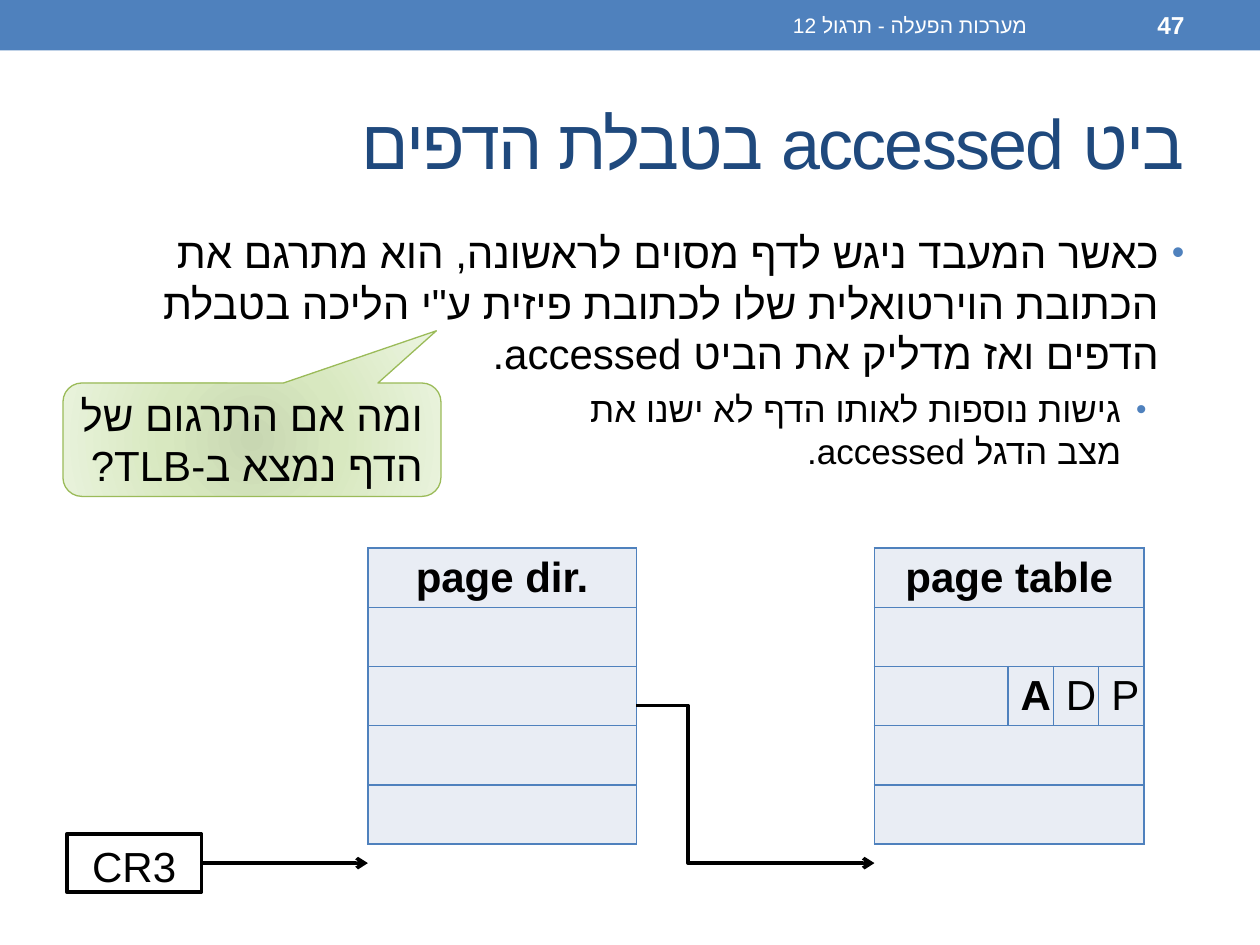
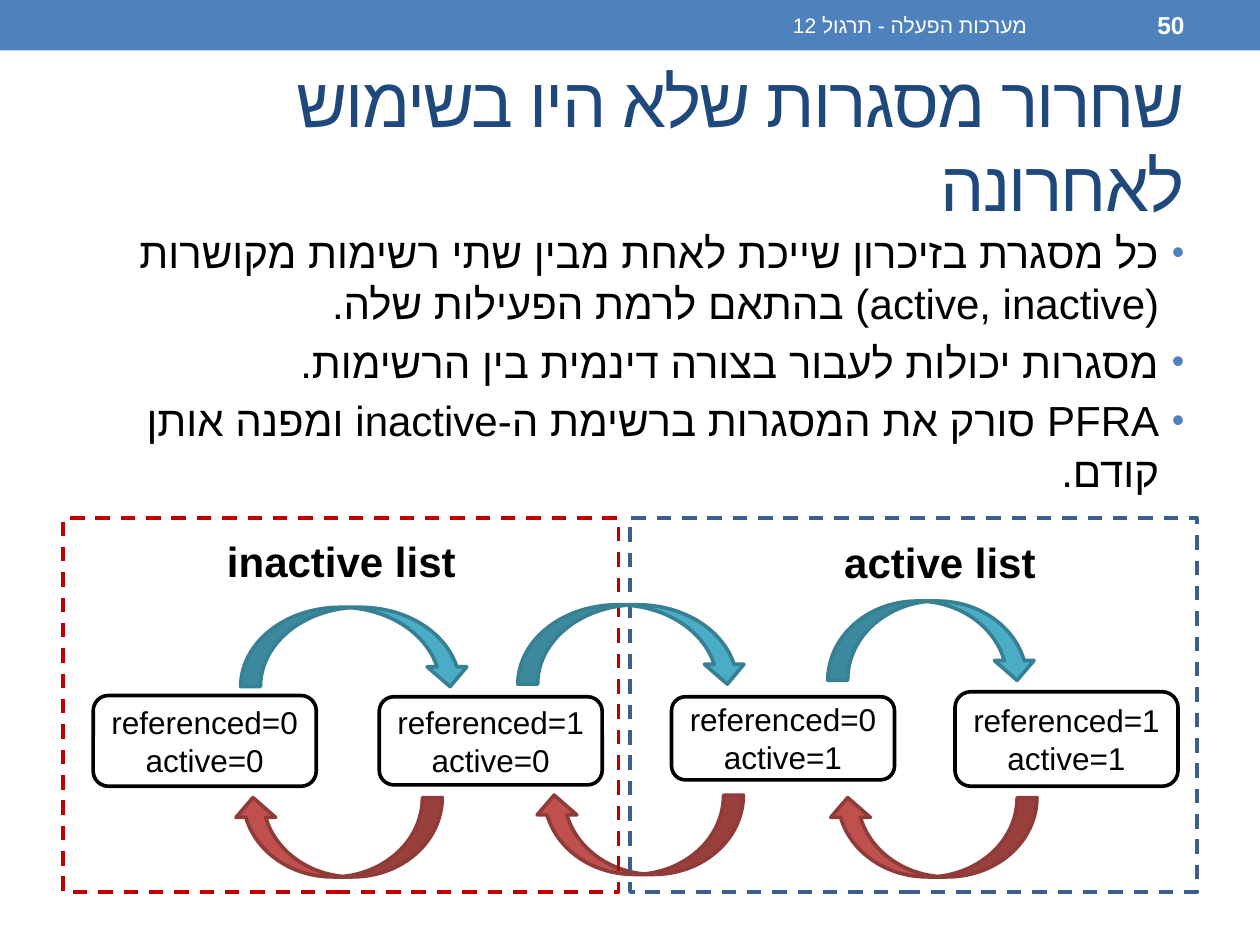
"""Build two slides on the accessed bit and on freeing page frames."""
from dataclasses import dataclass

from lxml.etree import SubElement
from pptx import Presentation
from pptx.dml.color import RGBColor
from pptx.enum.dml import MSO_LINE
from pptx.enum.shapes import MSO_CONNECTOR, MSO_SHAPE
from pptx.enum.text import MSO_ANCHOR, MSO_AUTO_SIZE, PP_ALIGN
from pptx.oxml import parse_xml
from pptx.oxml.ns import nsdecls, qn
from pptx.util import Inches, Pt


@dataclass(frozen=True)
class Theme:
    font: str = "Arial"
    band: str = "4F81BD"
    title: str = "1F497D"
    text: str = "000000"
    paper: str = "FFFFFF"
    cell: str = "E9EDF4"
    callout_line: str = "9BBB59"
    callout_stops: tuple = ((0, "C8D7B2"), (45, "D8E8C0"), (100, "E9F3DC"))
    promote: tuple = ("4BACC6", "377F92")
    demote: tuple = ("C0504D", "8E3B39")
    active: str = "3A5F8C"
    inactive: str = "C00000"
    title_size: int = 40
    body_sizes: tuple = (24, 20)
    label_size: int = 24
    node_size: int = 18
    number_size: int = 14
    footer_size: int = 12
    stroke: float = 2.08


theme = Theme()


def write(frame, text, size, color=theme.text, bold=False, align=PP_ALIGN.CENTER,
          rtl=False, **frame_format):
    frame.text = text
    for name, value in frame_format.items():
        setattr(frame, name, value)
    font_format = {"size": Pt(size), "bold": bold, "name": theme.font}
    for paragraph in frame.paragraphs:
        paragraph.alignment = align
        if rtl:
            paragraph._p.get_or_add_pPr().set("rtl", "1")
        for run in paragraph.runs:
            for name, value in font_format.items():
                setattr(run.font, name, value)
            run.font.color.rgb = RGBColor.from_string(color)
            SubElement(run._r.get_or_add_rPr(), qn("a:cs"), typeface=theme.font)


def draw(slide, kind, box, fill=None, line=None, width=theme.stroke):
    shape = slide.shapes.add_shape(kind, *map(Inches, box))
    shape.shadow.inherit = False
    if fill:
        shape.fill.solid()
        shape.fill.fore_color.rgb = RGBColor.from_string(fill)
    else:
        shape.fill.background()
    if line:
        shape.line.color.rgb = RGBColor.from_string(line)
        shape.line.width = Pt(width)
    else:
        shape.line.fill.background()
    return shape


deck = Presentation()
deck.slide_width, deck.slide_height = Inches(10), Inches(7.5)

contents = [
    ("47", "ביט accessed בטבלת הדפים", [
        (0, "כאשר המעבד ניגש לדף מסוים לראשונה, הוא מתרגם את הכתובת הוירטואלית שלו "
            "לכתובת פיזית ע\"י הליכה בטבלת הדפים ואז מדליק את הביט accessed."),
        (1, "גישות נוספות לאותו הדף לא ישנו את\vמצב הדגל accessed."),
    ]),
    ("50", "שחרור מסגרות שלא היו בשימוש לאחרונה", [
        (0, "כל מסגרת בזיכרון שייכת לאחת מבין שתי רשימות מקושרות (active, inactive) "
            "בהתאם לרמת הפעילות שלה."),
        (0, "מסגרות יכולות לעבור בצורה דינמית בין הרשימות."),
        (0, "PFRA סורק את המסגרות ברשימת ה-inactive ומפנה אותן קודם."),
    ]),
]
hebrew = {"align": PP_ALIGN.RIGHT, "rtl": True, "word_wrap": True}
centred = {"vertical_anchor": MSO_ANCHOR.MIDDLE}

for number, heading, points in contents:
    slide = deck.slides.add_slide(deck.slide_layouts[1])
    title, body = slide.placeholders
    for holder, box in ((title, (0.5, 0.58, 9, 1.08)), (body, (0.5, 1.75, 9, 5.33))):
        holder.left, holder.top, holder.width, holder.height = map(Inches, box)
    write(title.text_frame, heading, theme.title_size, theme.title,
          auto_size=MSO_AUTO_SIZE.NONE, **centred, **hebrew)
    for run in title.text_frame.paragraphs[0].runs:
        run._r.get_or_add_rPr().set("spc", "-100")

    write(body.text_frame, "\n".join(text for _, text in points), theme.body_sizes[0],
          auto_size=MSO_AUTO_SIZE.NONE, vertical_anchor=MSO_ANCHOR.TOP, **hebrew)
    for paragraph, (level, _) in zip(body.text_frame.paragraphs, points):
        paragraph.level = level
        for run in paragraph.runs:
            run.font.size = Pt(theme.body_sizes[level])
        properties = paragraph._p.get_or_add_pPr()
        properties.set("marL", str(Inches(0.2 + 0.3 * level)))
        properties.set("indent", str(Inches(-0.2)))
        SubElement(SubElement(properties, qn("a:buClr")), qn("a:srgbClr"), val=theme.band)
        SubElement(properties, qn("a:buSzPct"), val="85000")
        SubElement(properties, qn("a:buFont"), typeface=theme.font)
        SubElement(properties, qn("a:buChar"), char="•")

    for text, left, width, size, bold in (
            ("מערכות הפעלה - תרגול 12", 3.75, 4.5, theme.footer_size, False),
            (number, 8.33, 1.17, theme.number_size, True)):
        footer = slide.shapes.add_textbox(*map(Inches, (left, 0.02, width, 0.36)))
        write(footer.text_frame, text, size, theme.paper, bold, **centred, **hebrew)

paging, lists = deck.slides
band = draw(paging, MSO_SHAPE.RECTANGLE, (0, 0, 10, 0.4), theme.band)
deck.slide_master.shapes._spTree.insert(2, band._element)

question = draw(paging, MSO_SHAPE.ROUNDED_RECTANGULAR_CALLOUT, (0.5, 3.04, 3, 0.9),
                theme.cell, theme.callout_line, 0.75)
for index, value in enumerate((0.488, -0.961, 0.167)):
    question.adjustments[index] = value
stops = "".join(f'<a:gs pos="{position * 1000}"><a:srgbClr val="{color}"/></a:gs>'
                for position, color in theme.callout_stops)
glow = parse_xml(
    f'<a:gradFill {nsdecls("a")}><a:gsLst>{stops}</a:gsLst><a:path path="circle">'
    '<a:fillToRect l="50000" t="50000" r="50000" b="50000"/></a:path></a:gradFill>')
flat_fill = question._element.spPr.find(qn("a:solidFill"))
flat_fill.getparent().replace(flat_fill, glow)
write(question.text_frame, "ומה אם התרגום של הדף נמצא ב-TLB?", theme.label_size,
      margin_left=0, **centred, **hebrew)

register = draw(paging, MSO_SHAPE.RECTANGLE, (0.53, 6.62, 1.07, 0.46), theme.paper, theme.text)
write(register.text_frame, "CR3", theme.label_size, vertical_anchor=MSO_ANCHOR.TOP)

tables = [
    ("page dir.", 2.92, (2.13,), ()),
    ("page table", 6.94, (1.06, 0.36, 0.36, 0.36), ("", "A", "D", "P")),
]
row_count, row_height = 5, 0.47
for heading, left, widths, flags in tables:
    grid = paging.shapes.add_table(
        row_count, len(widths),
        *map(Inches, (left, 4.35, sum(widths), row_count * row_height))).table
    for column, width in zip(grid.columns, widths):
        column.width = Inches(width)
    for row_index, row in enumerate(grid.rows):
        row.height = Inches(row_height)
        if flags and row_index != 2:
            grid.cell(row_index, 0).merge(grid.cell(row_index, len(widths) - 1))
        for cell in row.cells:
            cell.margin_bottom = Inches(0.02)
            cell.fill.solid()
            cell.fill.fore_color.rgb = RGBColor.from_string(theme.cell)
            for position, side in enumerate(("a:lnL", "a:lnR", "a:lnT", "a:lnB")):
                border = parse_xml(
                    f'<{side} {nsdecls("a")} w="12700"><a:solidFill>'
                    f'<a:srgbClr val="{theme.band}"/></a:solidFill></{side}>')
                cell._tc.get_or_add_tcPr().insert(position, border)
    write(grid.cell(0, 0).text_frame, heading, theme.label_size, bold=True)
    for column_index, flag in enumerate(flags):
        write(grid.cell(2, column_index).text_frame, flag, theme.label_size, bold=flag == "A")

for kind, start, end in (
        (MSO_CONNECTOR.STRAIGHT, (1.6, 6.85), (2.92, 6.85)),
        (MSO_CONNECTOR.ELBOW, (5.05, 5.6), (6.94, 6.85))):
    pointer = paging.shapes.add_connector(kind, *map(Inches, start + end))
    pointer.line.color.rgb = RGBColor.from_string(theme.text)
    pointer.line.width = Pt(theme.stroke)
    SubElement(pointer.line._get_or_add_ln(), qn("a:tailEnd"), type="arrow")
    SubElement(pointer._element.spPr, qn("a:effectLst"))
    if kind == MSO_CONNECTOR.STRAIGHT:
        pointer.begin_connect(register, 3)
    else:
        bends = pointer._element.spPr.find(qn("a:prstGeom")).find(qn("a:avLst"))
        SubElement(bends, qn("a:gd"), name="adj1", fmla="val 21700")

for left, top, height, referenced, active in (
        (3.01, 5.53, 0.7, 1, 0), (5.33, 5.53, 0.66, 0, 1),
        (7.58, 5.49, 0.75, 1, 1), (0.74, 5.52, 0.72, 0, 0)):
    state = draw(lists, MSO_SHAPE.ROUNDED_RECTANGLE, (left, top, 1.77, height),
                 theme.paper, theme.text)
    write(state.text_frame, f"referenced={referenced}\nactive={active}", theme.node_size,
          word_wrap=False, **centred)

for left, top, width, colors, turn in (
        (6.57, 4.77, 1.66, theme.promote, 0), (1.91, 4.82, 1.82, theme.promote, 0),
        (6.57, 6.33, 1.66, theme.demote, 180), (4.24, 6.31, 1.66, theme.demote, 180),
        (1.85, 6.33, 1.66, theme.demote, 180)):
    move = draw(lists, MSO_SHAPE.CURVED_DOWN_ARROW, (left, top, width, 0.63), *colors)
    move.rotation = turn

for name, left, width, color, label_left, label_top in (
        ("active list", 5, 4.5, theme.active, 6.21, 4.21),
        ("inactive list", 0.5, 4.41, theme.inactive, 1.46, 4.2)):
    border = draw(lists, MSO_SHAPE.RECTANGLE, (left, 4.11, width, 2.97), line=color)
    border.line.dash_style = MSO_LINE.DASH
    label = lists.shapes.add_textbox(*map(Inches, (label_left, label_top, 2.5, 0.5)))
    write(label.text_frame, name, theme.label_size, bold=True, word_wrap=True)

draw(lists, MSO_SHAPE.CURVED_DOWN_ARROW, (4.11, 4.8, 1.82, 0.63), *theme.promote)

deck.save("out.pptx")
